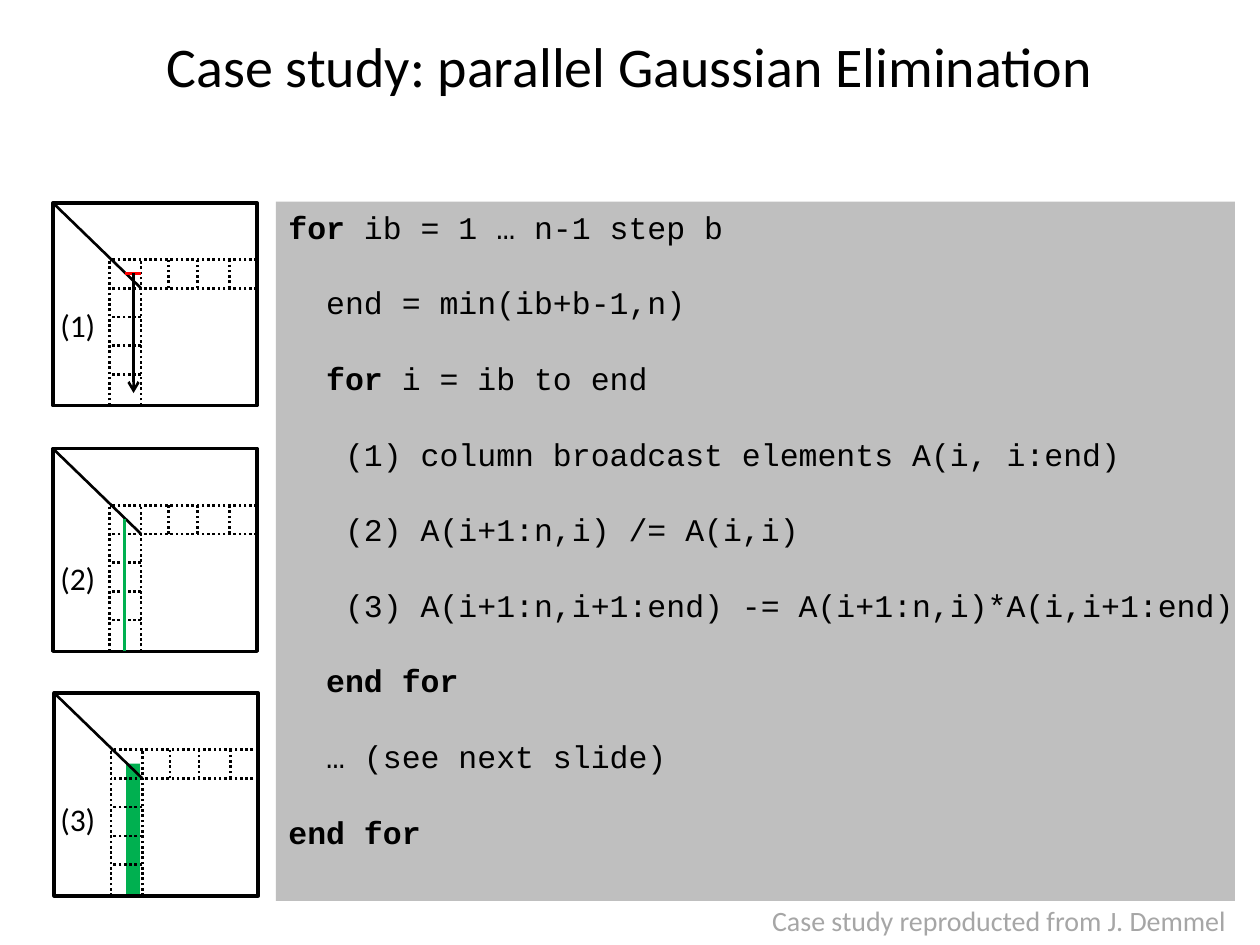
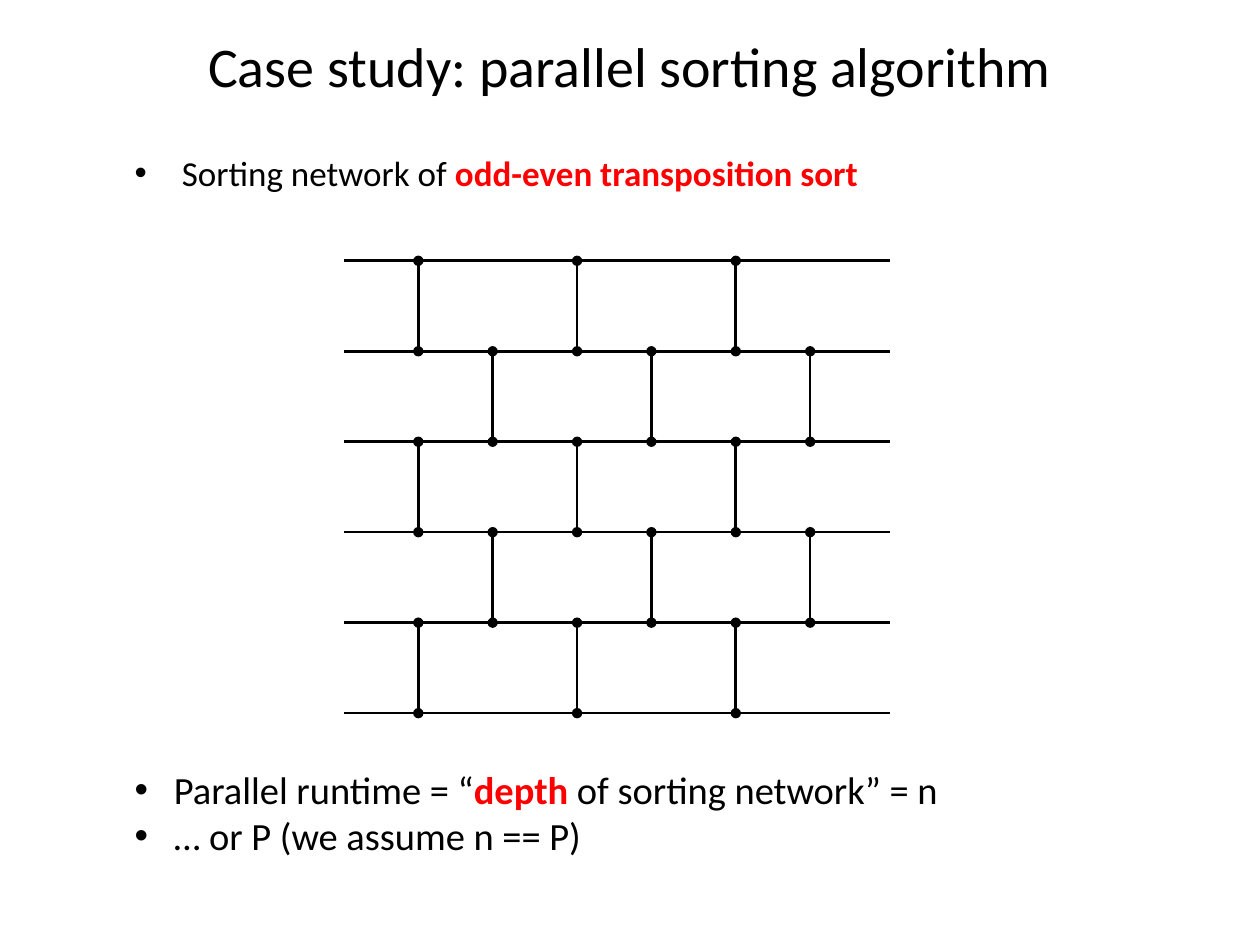
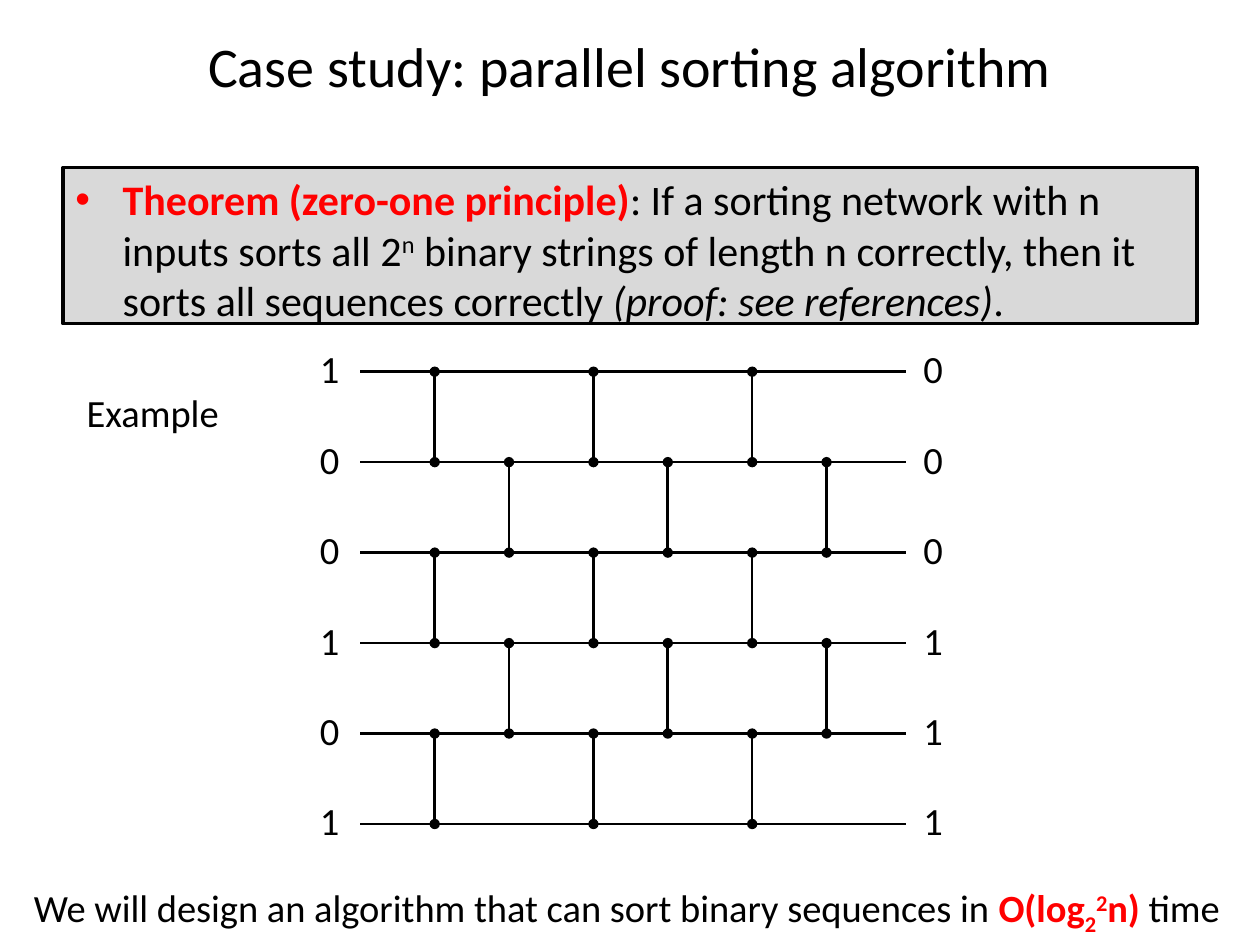
from dataclasses import dataclass

from lxml import etree
from pptx import Presentation
from pptx import util as u
from pptx.dml.color import RGBColor
from pptx.enum import dml, shapes, text
from pptx.oxml import ns


@dataclass(frozen=True)
class Theme:
    sans: str = "Calibri"
    mono: str = "Courier New"
    ink: str = "000000"
    red: str = "FF0000"
    green: str = "00B050"
    mute: str = "A6A6A6"
    code: str = "BFBFBF"
    panel: str = "D9D9D9"
    title: float = 32
    lead: float = 24
    body: float = 22
    point: float = 20
    label: float = 18
    note: float = 16
    thin: float = 1.5
    thick: float = 2


@dataclass(frozen=True)
class Box:
    """A region in cells of the slide grid."""
    x: float
    y: float
    w: float
    h: float

    def sub(self, x, y, w, h):
        return Box(self.x + x, self.y + y, w, h)

    def emu(self):
        return [cell(v) for v in (self.x, self.y, self.w, self.h)]


T = Theme()
COLS, ROWS = 100, 75
CELL = u.Inches(10) / COLS
DOTS = dml.MSO_LINE.ROUND_DOT
HOT = {"color": T.red, "bold": True}
CODE = {"font": T.mono, "size": T.label}
KEY = CODE | {"bold": True}


def cell(n):
    return u.Emu(round(n * CELL))


def rgb(code):
    return RGBColor.from_string(code)


def add_run(para, words, size=T.body, font=T.sans, color=T.ink,
            bold=False, italic=False, shift=0):
    run = para.add_run()
    run.text = words
    face = run.font
    face.size, face.name = u.Pt(size), font
    face.bold, face.italic = bold, italic
    face.color.rgb = rgb(color)
    if shift:
        run._r.get_or_add_rPr().set("baseline", str(shift * 1000))


def add_mark(para, hang):
    """Give a paragraph a round bullet with a hanging indent."""
    prop = para._p.get_or_add_pPr()
    prop.set("marL", str(cell(hang)))
    prop.set("indent", str(-cell(hang)))
    etree.SubElement(prop, ns.qn("a:buFont")).set("typeface", "Arial")
    etree.SubElement(prop, ns.qn("a:buChar")).set("char", "•")


def fill_text(shape, paras, wrap=True, hang=0, gap=0, size=T.body,
              align=text.PP_ALIGN.LEFT, anchor=text.MSO_ANCHOR.TOP):
    """Write paragraphs, each a list of (words, style) runs."""
    frame = shape.text_frame
    frame.word_wrap, frame.vertical_anchor = wrap, anchor
    for i, runs in enumerate(paras):
        para = frame.add_paragraph() if i else frame.paragraphs[0]
        para.alignment = align
        if i and gap:
            para.space_before = u.Pt(gap)
        if hang:
            add_mark(para, hang)
        for words, style in runs:
            add_run(para, words, **({"size": size} | style))


def add_text(slide, box, paras, **look):
    fill_text(slide.shapes.add_textbox(*box.emu()), paras, **look)


def add_label(slide, box, words, size=T.body, color=T.ink):
    add_text(slide, box, [[(words, {"color": color})]], wrap=False, size=size)


def add_rect(slide, box, fill=None, line=None):
    rect = slide.shapes.add_shape(shapes.MSO_SHAPE.RECTANGLE, *box.emu())
    rect.shadow.inherit = False
    if fill:
        rect.fill.solid()
        rect.fill.fore_color.rgb = rgb(fill)
    else:
        rect.fill.background()
    if line:
        rect.line.color.rgb = rgb(line)
        rect.line.width = u.Pt(T.thick)
    else:
        rect.line.fill.background()
    return rect


def add_line(slide, box, start, end, color=T.ink, width=T.thin,
             dash=None, head=None, tail=None):
    """Draw a line between two points measured from the box corner."""
    ends = [cell(v) for x, y in (start, end) for v in (box.x + x, box.y + y)]
    line = slide.shapes.add_connector(shapes.MSO_CONNECTOR.STRAIGHT, *ends)
    line.line.color.rgb = rgb(color)
    line.line.width = u.Pt(width)
    if dash:
        line.line.dash_style = dash
    stroke = line.line._get_or_add_ln()
    for tag, kind in (("a:headEnd", head), ("a:tailEnd", tail)):
        if kind:
            etree.SubElement(stroke, ns.qn(tag)).set("type", kind)
    etree.SubElement(line._element.spPr, ns.qn("a:effectLst"))


def add_slide(deck, title):
    slide = deck.slides.add_slide(deck.slide_layouts[6])
    add_text(slide, Box(5, 1.7, 90, 7), [[(title, {})]], size=T.title,
             align=text.PP_ALIGN.CENTER, anchor=text.MSO_ANCHOR.MIDDLE)
    return slide


def draw_blocks(slide, box):
    """Draw a matrix with its current block row and block column."""
    xs = (4.5, 7, 9.2, 11.5, 14)
    ys = [4.5 + 2.28 * k for k in range(5)]
    add_rect(slide, box, line=T.ink)
    add_line(slide, box, (0, 0), (xs[1], ys[1]))
    for i, (x, y) in enumerate(zip(xs, ys)):
        right, low = (box.w, box.h) if i < 2 else (xs[1], ys[1])
        add_line(slide, box, (right, y), (xs[0], y), dash=DOTS)
        add_line(slide, box, (x, low), (x, ys[0]), dash=DOTS)


def draw_code(slide, box):
    lines = [
        [("for ", KEY), ("ib = 1 … n-1 step b", CODE)],
        [("  end = min(ib+b-1,n)", CODE)],
        [("  ", CODE), ("for ", KEY), ("i = ib to end", CODE)],
        [("   (1) column broadcast elements A(i, i:end)", CODE)],
        [("   (2) A(i+1:n,i) /= A(i,i)", CODE)],
        [("   (3) A(i+1:n,i+1:end) -= A(i+1:n,i)*A(i,i+1:end)", CODE)],
        [("  ", CODE), ("end for", KEY)],
        [("  … (see next slide)", CODE)],
        [("end for", KEY)],
    ]
    panel = add_rect(slide, box, fill=T.code)
    panel.text_frame.margin_right = 0
    fill_text(panel, lines, gap=21.6)


def draw_net(slide, box, wires=6, pairs=3):
    """Draw an odd-even sorting network and return the wire pitch."""
    pitch = box.h / (wires - 1)
    for row in range(wires):
        y = row * pitch
        add_line(slide, box, (box.w, y), (0, y))
        if row == wires - 1:
            break
        for k in range(pairs):
            x = 5.9 * (1 + row % 2) + 12.6 * k
            add_line(slide, box, (x, y), (x, y + pitch),
                     head="oval", tail="oval")
    return pitch


def build_gauss(deck):
    slide = add_slide(deck, "Case study: parallel Gaussian Elimination")
    draw_code(slide, Box(21.9, 16, 76.1, 55.5))
    first, second, third = [Box(x, y, 16.2, 16.1) for x, y in
                            ((4.2, 16.1), (4.2, 35.6), (4.3, 55))]
    add_rect(slide, third.sub(5.7, 5.6, 1.1, 10.5), fill=T.green)
    for box in (first, second, third):
        draw_blocks(slide, box)
    add_line(slide, first, (5.7, 5.6), (7, 5.6), T.red, T.thick)
    add_line(slide, first, (6.4, 5.6), (6.4, 15.1), tail="arrow")
    add_line(slide, second, (5.7, 5.6), (5.7, 16.1), T.green, T.thick)
    for words, y in (("(1)", 23.8), ("(2)", 43.9), ("(3)", 63)):
        add_label(slide, Box(3.8, y, 4.8, 4), words, T.label)
    add_label(slide, Box(60.3, 71.2, 39.7, 3.7),
              "Case study reproducted from J. Demmel", T.note, T.mute)


def build_sort(deck):
    slide = add_slide(deck, "Case study: parallel sorting algorithm")
    add_text(slide, Box(9.7, 11.5, 85.3, 7.7),
             [[("Sorting network of ", {}),
               ("odd-even transposition sort", HOT)]],
             size=T.point, hang=3.75)
    draw_net(slide, Box(27.3, 20.7, 43.3, 35.9))
    add_text(slide, Box(9.7, 60.3, 72.2, 8.4),
             [[("Parallel runtime = “", {}), ("depth", HOT),
               (" of sorting network” = n", {})],
              [("… or P (we assume n == P)", {})]], hang=3.12)


def build_proof(deck):
    slide = add_slide(deck, "Case study: parallel sorting algorithm")
    panel = add_rect(slide, Box(5, 13.3, 90, 12.4), T.panel, T.ink)
    fill_text(panel, [[
        ("Theorem (zero-one principle)", HOT),
        (": If a sorting network with n inputs sorts all 2", {}),
        ("n", {"shift": 30}),
        (" binary strings of length n correctly, then it sorts all"
         " sequences correctly ", {}),
        ("(proof: see references)", {"italic": True}),
        (".", {}),
    ]], size=T.lead, hang=3.75)
    net = Box(28.6, 29.5, 43.3, 35.9)
    pitch = draw_net(slide, net)
    for x, bits in ((-4.2, "100101"), (net.w + 0.4, "000111")):
        for row, bit in enumerate(bits):
            add_label(slide, net.sub(x, row * pitch - 2.6, 3.6, 4.7), bit)
    add_label(slide, Box(5.9, 30.4, 12.6, 4.7), "Example")
    add_text(slide, Box(1.7, 69.7, 97.2, 4.7), [[
        ("We will design an algorithm that can sort binary sequences in ",
         {}),
        ("O(log", HOT), ("2", HOT | {"shift": -25}),
        ("2", HOT | {"shift": 30}), ("n)", HOT), (" time", {}),
    ]], wrap=False)


def main():
    deck = Presentation()
    deck.slide_width, deck.slide_height = cell(COLS), cell(ROWS)
    for build in (build_gauss, build_sort, build_proof):
        build(deck)
    deck.save("out.pptx")


if __name__ == "__main__":
    main()
